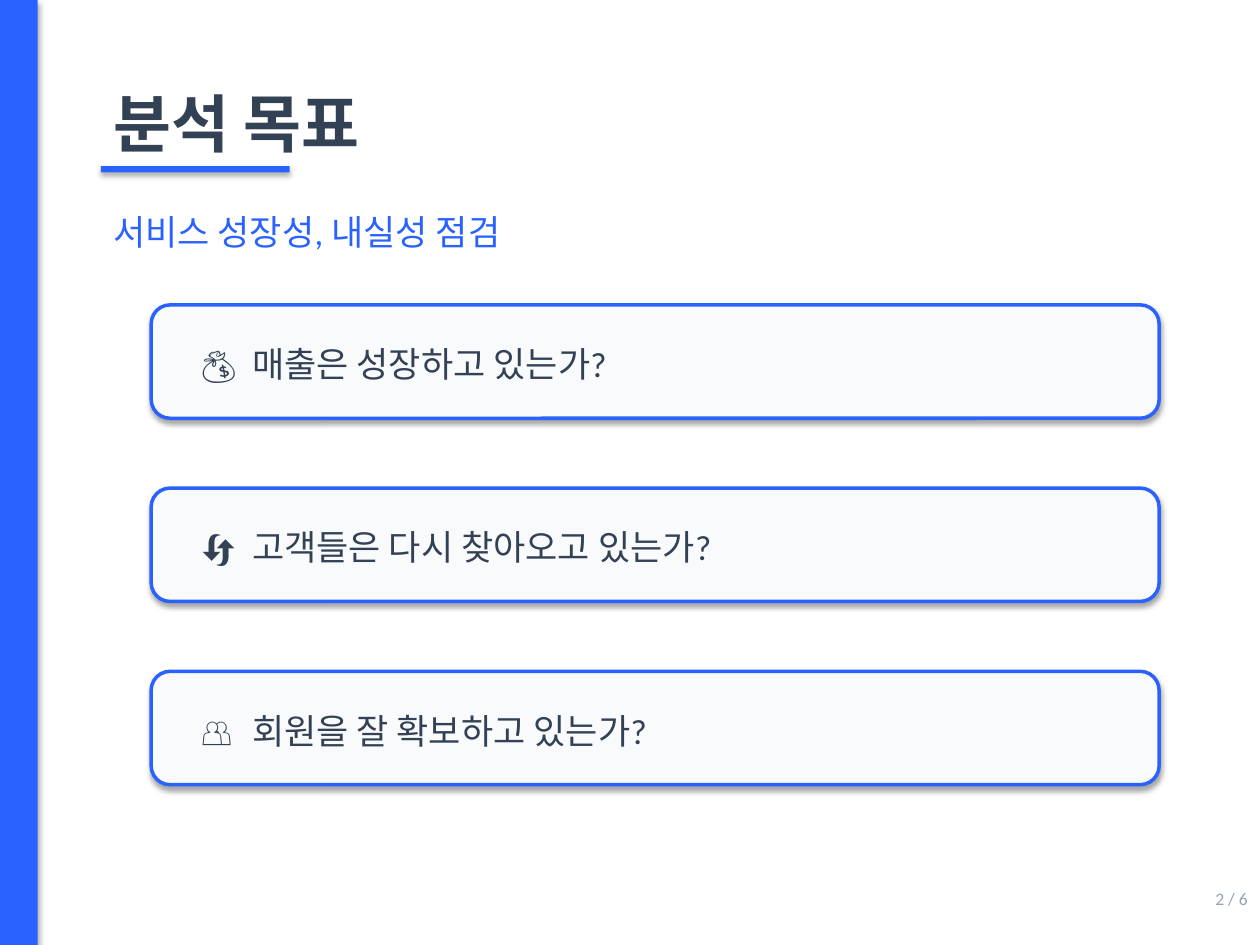
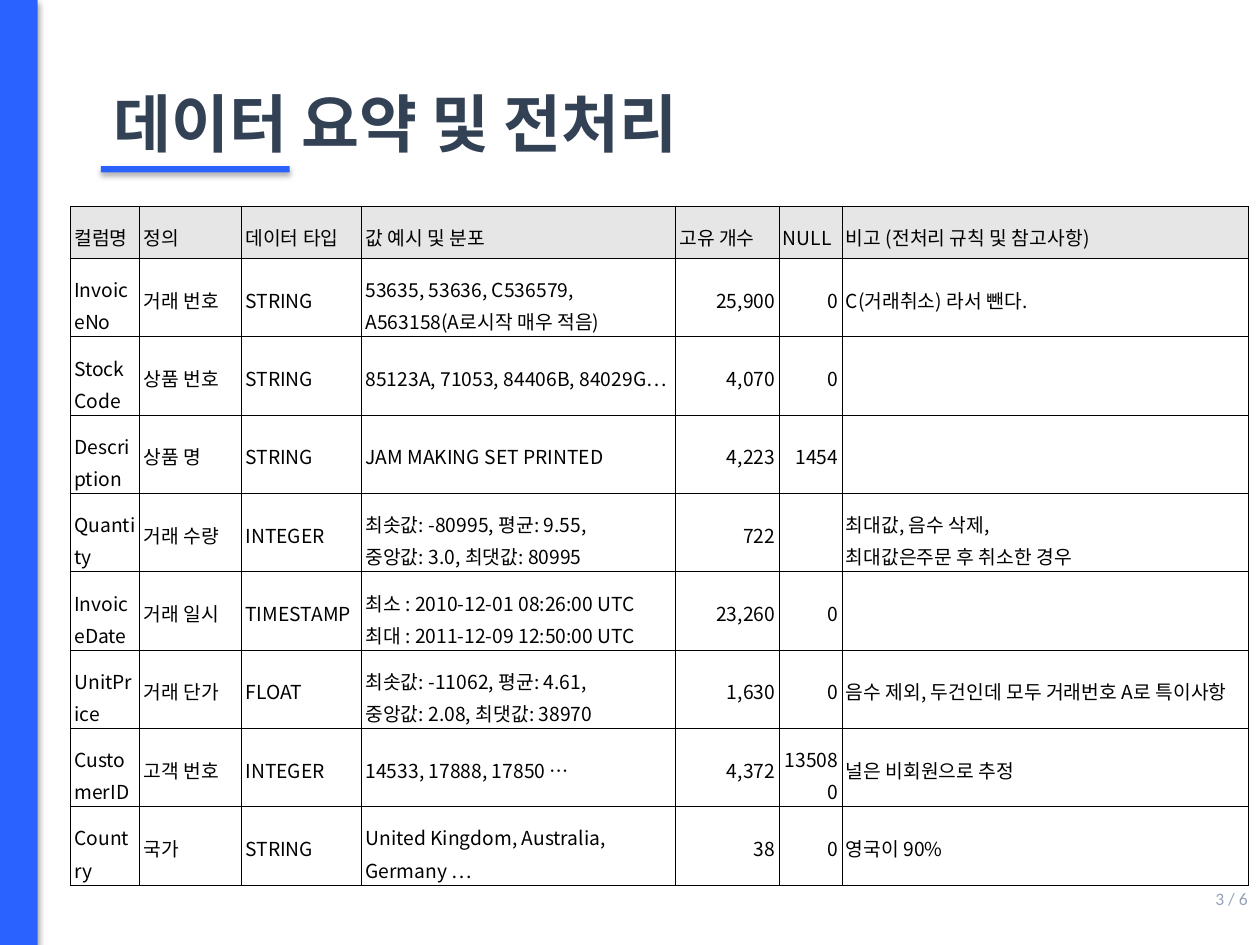
from lxml import etree
from pptx import Presentation
from pptx.dml.color import RGBColor
from pptx.enum.shapes import MSO_SHAPE
from pptx.enum.text import MSO_ANCHOR, MSO_AUTO_SIZE, PP_ALIGN
from pptx.oxml.ns import qn
from pptx.util import Pt

RECT, ROUNDED = MSO_SHAPE.RECTANGLE, MSO_SHAPE.ROUNDED_RECTANGLE
LEFT, RIGHT = PP_ALIGN.LEFT, PP_ALIGN.RIGHT
MIDDLE = MSO_ANCHOR.MIDDLE
FIT_TEXT = MSO_AUTO_SIZE.SHAPE_TO_FIT_TEXT

BLUE = RGBColor(0x29, 0x62, 0xFF)
SLATE = RGBColor(0x33, 0x41, 0x55)
PAGE_GRAY = RGBColor(0x94, 0xA3, 0xB8)
CARD_FILL = RGBColor(0xF8, 0xFA, 0xFC)
HEADER_FILL = RGBColor(0xE7, 0xE6, 0xE6)
BLACK = RGBColor(0, 0, 0)

SLIDE_W, SLIDE_H = 720, 540
CONTENT_LEFT, CONTENT_W = 57.6, 604.8
PAGE_COUNT = 6
BODY_FONT, TABLE_FONT = "Calibri", "Noto Sans CJK KR"

QUESTIONS = [
    ("💰", "매출은 성장하고 있는가?"),
    ("🔄", "고객들은 다시 찾아오고 있는가?"),
    ("👥", "회원을 잘 확보하고 있는가?"),
]
CARD_H, CARD_PITCH, ICON_GAP = 64.8, 104.7, 29

COLUMN_WIDTHS = [39.5, 58.3, 68.6, 179.3, 59.2, 36, 232.4]
HEADER_H, ROW_H = 24.5, 37.6
NUMBER_COLUMNS = (4, 5)
DATA_SUMMARY = [
    ("컬럼명", "정의", "데이터 타입", "값 예시 및 분포", "고유 개수", "NULL",
     "비고 (전처리 규칙 및 참고사항)"),
    ("InvoiceNo", "거래 번호", "STRING",
     "53635, 53636, C536579,\nA563158(A로시작 매우 적음)", "25,900", "0",
     "C(거래취소) 라서 뺀다."),
    ("StockCode", "상품 번호", "STRING", "85123A, 71053, 84406B, 84029G…",
     "4,070", "0", ""),
    ("Description", "상품 명", "STRING", "JAM MAKING SET PRINTED",
     "4,223", "1454", ""),
    ("Quantity", "거래 수량", "INTEGER",
     "최솟값: -80995, 평균: 9.55,\n중앙값: 3.0, 최댓값: 80995", "722", "",
     "최대값, 음수 삭제,\n최대값은주문 후 취소한 경우"),
    ("InvoiceDate", "거래 일시", "TIMESTAMP",
     "최소 : 2010-12-01 08:26:00 UTC\n최대 : 2011-12-09 12:50:00 UTC",
     "23,260", "0", ""),
    ("UnitPrice", "거래 단가", "FLOAT",
     "최솟값: -11062, 평균: 4.61,\n중앙값: 2.08, 최댓값: 38970", "1,630", "0",
     "음수 제외, 두건인데 모두 거래번호 A로 특이사항"),
    ("CustomerID", "고객 번호", "INTEGER", "14533, 17888, 17850 …",
     "4,372", "135080", "널은 비회원으로 추정"),
    ("Country", "국가", "STRING", "United Kingdom, Australia, Germany …",
     "38", "0", "영국이 90%"),
]


def write_text(frame, text, size=20, color=SLATE, font=BODY_FONT, bold=False,
               align=LEFT, line_spacing=None, hanging=0):
    """Fill a text frame, one paragraph per line of text."""
    frame.word_wrap = True
    for index, line in enumerate(text.split("\n")):
        paragraph = frame.add_paragraph() if index else frame.paragraphs[0]
        paragraph.alignment = align
        paragraph.line_spacing = line_spacing
        if hanging:
            properties = paragraph._p.get_or_add_pPr()
            properties.set("marL", str(Pt(hanging)))
            properties.set("indent", str(-Pt(hanging)))
        run = paragraph.add_run()
        run.text = line
        run.font.size = Pt(size)
        run.font.name = font
        run.font.bold = bold
        run.font.color.rgb = color


def add_label(slide, text, left, top, width, height, **text_format):
    label = slide.shapes.add_textbox(Pt(left), Pt(top), Pt(width), Pt(height))
    write_text(label.text_frame, text, **text_format)
    label.text_frame.auto_size = FIT_TEXT


def add_panel(slide, preset, left, top, width, height, fill, outline=None):
    """Add a filled shape that keeps the soft shadow of the theme."""
    panel = slide.shapes.add_shape(preset, Pt(left), Pt(top), Pt(width), Pt(height))
    panel.fill.solid()
    panel.fill.fore_color.rgb = fill
    if outline is None:
        panel.line.fill.background()
    else:
        panel.line.color.rgb = outline
        panel.line.width = Pt(2)


def add_framed_slide(deck, title, page):
    """Add a slide with the page number, side band and underlined title."""
    slide = deck.slides.add_slide(deck.slide_layouts[6])
    add_label(slide, f"{page} / {PAGE_COUNT}", SLIDE_W - 72, SLIDE_H - 36, 72, 21.6,
              size=10, color=PAGE_GRAY, align=RIGHT)
    add_panel(slide, RECT, 0, 0, 21.6, SLIDE_H, BLUE)
    add_label(slide, title, CONTENT_LEFT, 44.64, CONTENT_W, 43.2, size=36, bold=True)
    add_panel(slide, RECT, CONTENT_LEFT, 95, 108, 3.6, BLUE)
    return slide


def add_question_card(slide, icon, question, left, top, width):
    add_panel(slide, ROUNDED, left, top, width, CARD_H, CARD_FILL, outline=BLUE)
    add_label(slide, f"{icon}\t{question}", left + 21.6, top + 18, width - 72, 28.8,
              hanging=ICON_GAP)


def set_cell_borders(cell):
    properties = cell._tc.get_or_add_tcPr()
    for index, side in enumerate(("a:lnL", "a:lnR", "a:lnT", "a:lnB")):
        border = etree.Element(qn(side), w=str(Pt(0.55)))
        fill = etree.SubElement(border, qn("a:solidFill"))
        etree.SubElement(fill, qn("a:srgbClr"), val=str(BLACK))
        properties.insert(index, border)


def add_summary_table(slide, rows, left, top):
    height = HEADER_H + ROW_H * (len(rows) - 1)
    table = slide.shapes.add_table(len(rows), len(COLUMN_WIDTHS), Pt(left), Pt(top),
                                   Pt(sum(COLUMN_WIDTHS)), Pt(height)).table
    table.first_row = table.horz_banding = False
    for column, width in zip(table.columns, COLUMN_WIDTHS):
        column.width = Pt(width)
    for r, values in enumerate(rows):
        table.rows[r].height = Pt(ROW_H if r else HEADER_H)
        for c, value in enumerate(values):
            cell = table.cell(r, c)
            cell.margin_left = cell.margin_right = Pt(2.2)
            cell.margin_top = cell.margin_bottom = Pt(7.2)
            cell.vertical_anchor = MIDDLE
            if r:
                cell.fill.background()
            else:
                cell.fill.solid()
                cell.fill.fore_color.rgb = HEADER_FILL
            set_cell_borders(cell)
            write_text(cell.text_frame, value, size=11, color=BLACK, font=TABLE_FONT,
                       align=RIGHT if r and c in NUMBER_COLUMNS else LEFT,
                       line_spacing=1.15)


def build_goals_slide(deck):
    slide = add_framed_slide(deck, "분석 목표", 2)
    add_label(slide, "서비스 성장성, 내실성 점검", CONTENT_LEFT, 116.64, CONTENT_W, 31.7,
              color=BLUE)
    for index, (icon, question) in enumerate(QUESTIONS):
        add_question_card(slide, icon, question, 86.4, 174.24 + index * CARD_PITCH, 576)


def build_data_slide(deck):
    slide = add_framed_slide(deck, "데이터 요약 및 전처리", 3)
    add_summary_table(slide, DATA_SUMMARY, 40.3, 118.1)


def main():
    deck = Presentation()
    deck.slide_width, deck.slide_height = Pt(SLIDE_W), Pt(SLIDE_H)
    build_goals_slide(deck)
    build_data_slide(deck)
    deck.save("out.pptx")


if __name__ == "__main__":
    main()
